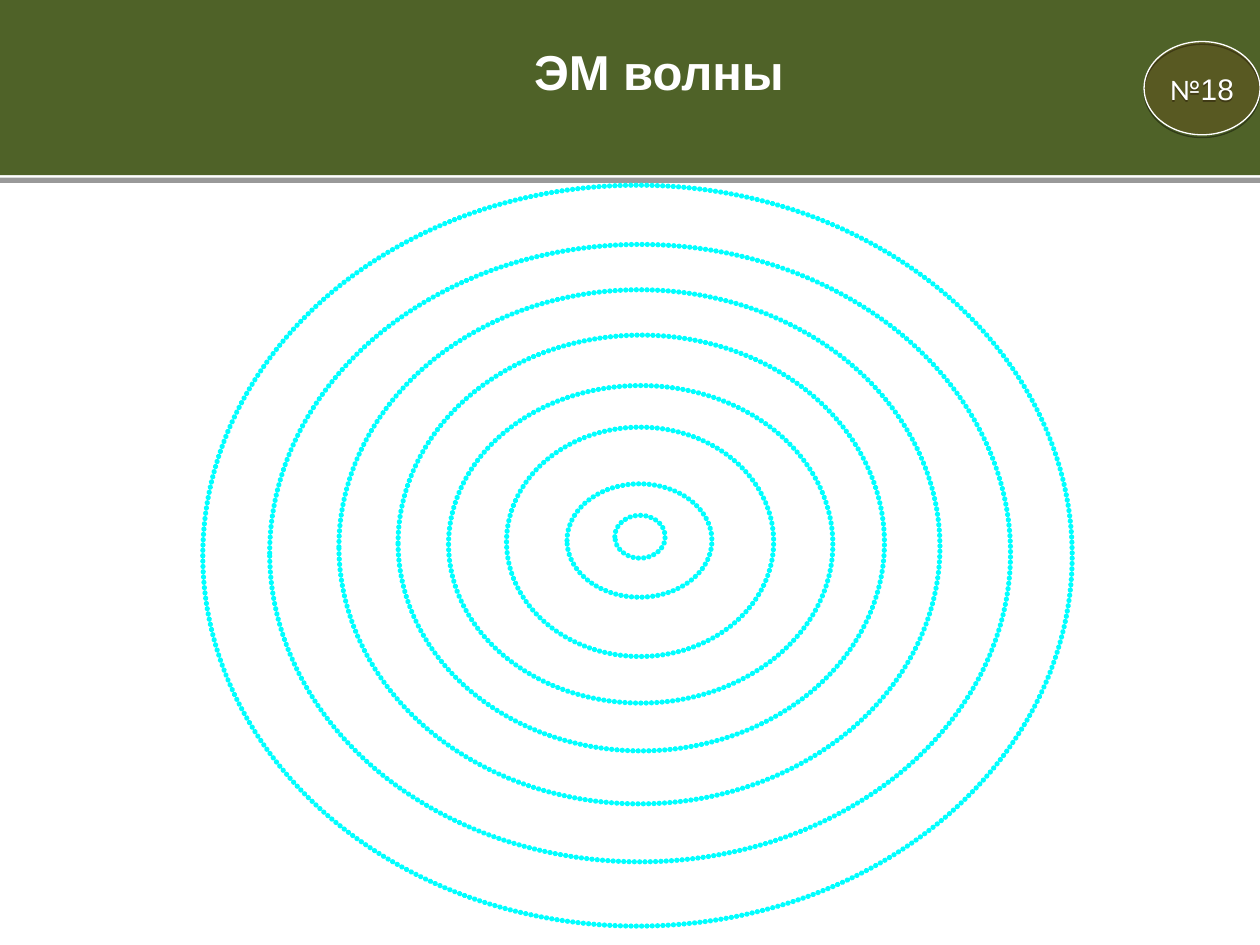
from dataclasses import dataclass

from lxml.etree import SubElement
from pptx import Presentation
from pptx.dml.color import RGBColor as Rgb
from pptx.enum.shapes import MSO_SHAPE as Preset
from pptx.enum.text import MSO_ANCHOR as Anchor, MSO_AUTO_SIZE as Fit, PP_ALIGN as Align
from pptx.oxml.ns import qn
from pptx.util import Inches, Pt


@dataclass(frozen=True)
class Theme:
    white: str = "FFFFFF"
    black: str = "000000"
    banner: str = "4F6228"
    badge: str = "CC3300"
    wave: str = "00FFFF"
    title_size: float = 28
    badge_size: float = 17
    font: str = "Arial"
    symbol_font: str = "Calibri"


class WaveSlide:
    def __init__(self, page, theme):
        self.page = page
        self.theme = theme

    def shape(self, preset, area, fill=None, line=None, width=0.75, parent=None):
        shapes = (parent or self.page).shapes
        item = shapes.add_shape(preset, *map(Inches, area))
        item.shadow.inherit = False
        if fill:
            item.fill.solid()
            item.fill.fore_color.rgb = Rgb.from_string(fill)
        else:
            item.fill.background()
        if line:
            item.line.color.rgb = Rgb.from_string(line)
            item.line.width = Pt(width)
        else:
            item.line.fill.background()
        return item

    def drop_shadow(self, item, opacity, distance):
        effects = item._element.spPr.find(qn("a:effectLst"))
        shadow = SubElement(effects, qn("a:outerShdw"), blurRad="0",
                            dist=str(Pt(distance)), dir="5400000", rotWithShape="0")
        color = SubElement(shadow, qn("a:srgbClr"), val=self.theme.black)
        SubElement(color, qn("a:alpha"), val=str(opacity * 1000))

    def fill_opacity(self, item, opacity):
        color = item._element.spPr.find(qn("a:solidFill"))[0]
        SubElement(color, qn("a:alpha"), val=str(opacity * 1000))

    def ring(self, area, group):
        ring = self.shape(Preset.OVAL, area, line=self.theme.wave, width=3, parent=group)
        # Round dots, one line width apart
        outline = ring.line._ln
        outline.set("cap", "rnd")
        dashes = SubElement(outline, qn("a:custDash"))
        SubElement(dashes, qn("a:ds"), d="1000", sp="100000")
        SubElement(outline, qn("a:round"))

    def text(self, box, spans, size, align, margins=(0, 0), bold=False, **frame_format):
        frame = box.text_frame
        side, top = map(Inches, margins)
        frame_format.update(margin_left=side, margin_right=side,
                            margin_top=top, margin_bottom=top)
        for name, value in frame_format.items():
            setattr(frame, name, value)
        para = frame.paragraphs[0]
        para.alignment = align
        for words, font in spans:
            span = para.add_run()
            span.text = words
            for name, value in {"name": font, "size": Pt(size), "bold": bold}.items():
                setattr(span.font, name, value)
            span.font.color.rgb = Rgb.from_string(self.theme.white)

    def text_box(self, area, spans, size, **text_format):
        box = self.page.shapes.add_textbox(*map(Inches, area))
        self.text(box, spans, size, Align.LEFT, **text_format)


def main():
    theme = Theme()
    deck = Presentation()
    deck.slide_width, deck.slide_height = Inches(10), Inches(7.5)
    slide = WaveSlide(deck.slides.add_slide(deck.slide_layouts[6]), theme)

    # Banner with a shaded lower edge
    edge = slide.shape(Preset.RECTANGLE, (0, 0, 10, 1.41), theme.white)
    slide.drop_shadow(edge, 40, 3)
    slide.shape(Preset.RECTANGLE, (0, 0, 10, 1.39), theme.banner)

    # Number badge
    badge = slide.shape(Preset.OVAL, (9.08, 0.33, 0.92, 0.74), theme.badge, theme.white)
    slide.fill_opacity(badge, 10)
    slide.drop_shadow(badge, 38, 1.6)
    slide.text(badge, [("№", theme.symbol_font), ("18", theme.font)], theme.badge_size,
               Align.CENTER, vertical_anchor=Anchor.MIDDLE, word_wrap=True)

    # Wave fronts, from the source outwards
    waves = slide.page.shapes.add_group_shape()
    for area in [
        (4.88, 4.09, 0.4, 0.34),
        (4.5, 3.84, 1.15, 0.9),
        (4.02, 3.39, 2.12, 1.82),
        (3.56, 3.06, 3.05, 2.52),
        (3.16, 2.66, 3.86, 3.3),
        (2.69, 2.3, 4.77, 4.08),
        (2.14, 1.94, 5.88, 4.9),
        (1.61, 1.47, 6.9, 5.88),
    ]:
        slide.ring(area, waves)

    # Title
    slide.text_box((4.14, 0.28, 2.19, 0.57), [("ЭМ волны", theme.font)], theme.title_size,
                   margins=(0.1, 0.05), bold=True, word_wrap=False,
                   auto_size=Fit.SHAPE_TO_FIT_TEXT)

    deck.save("out.pptx")


if __name__ == "__main__":
    main()
